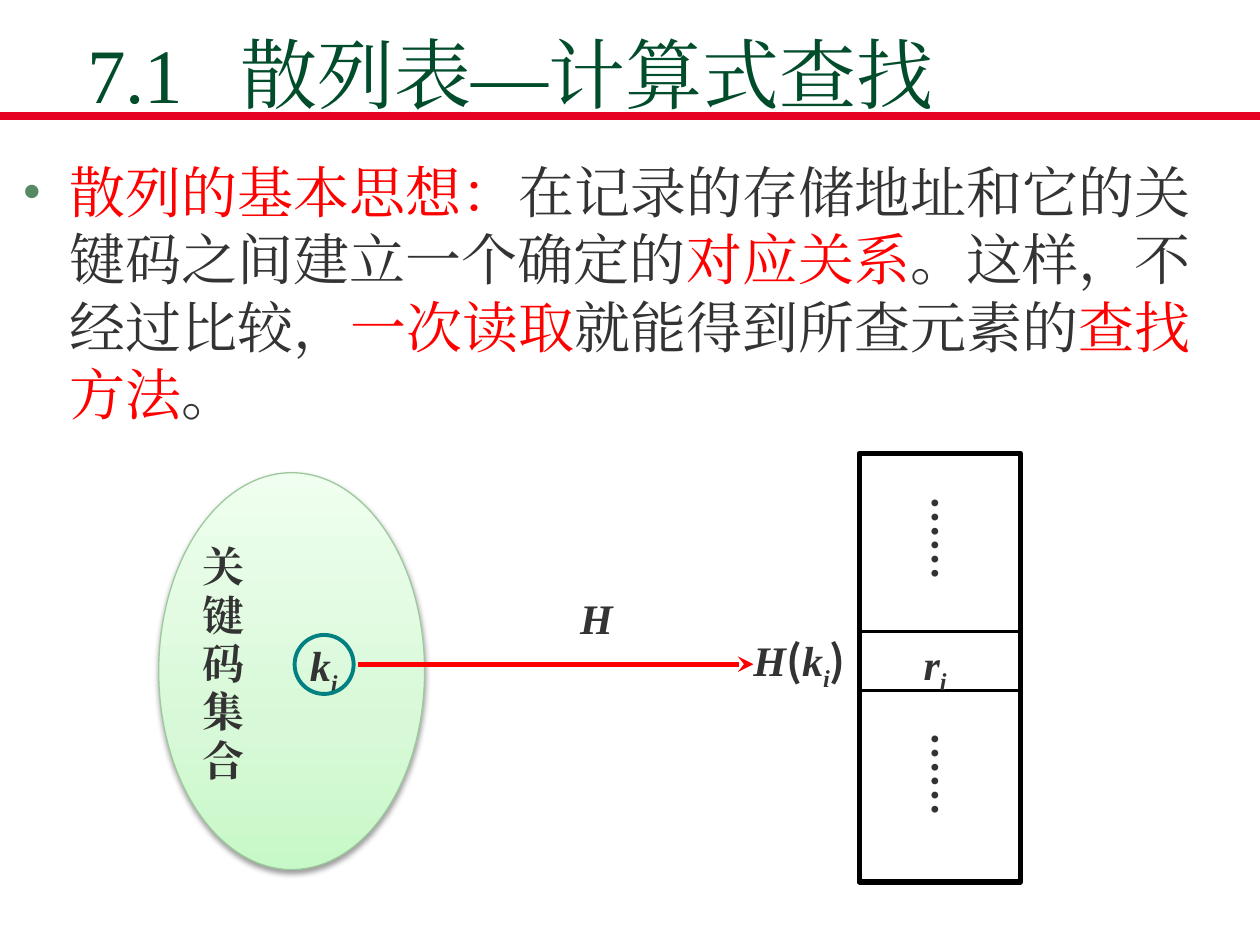
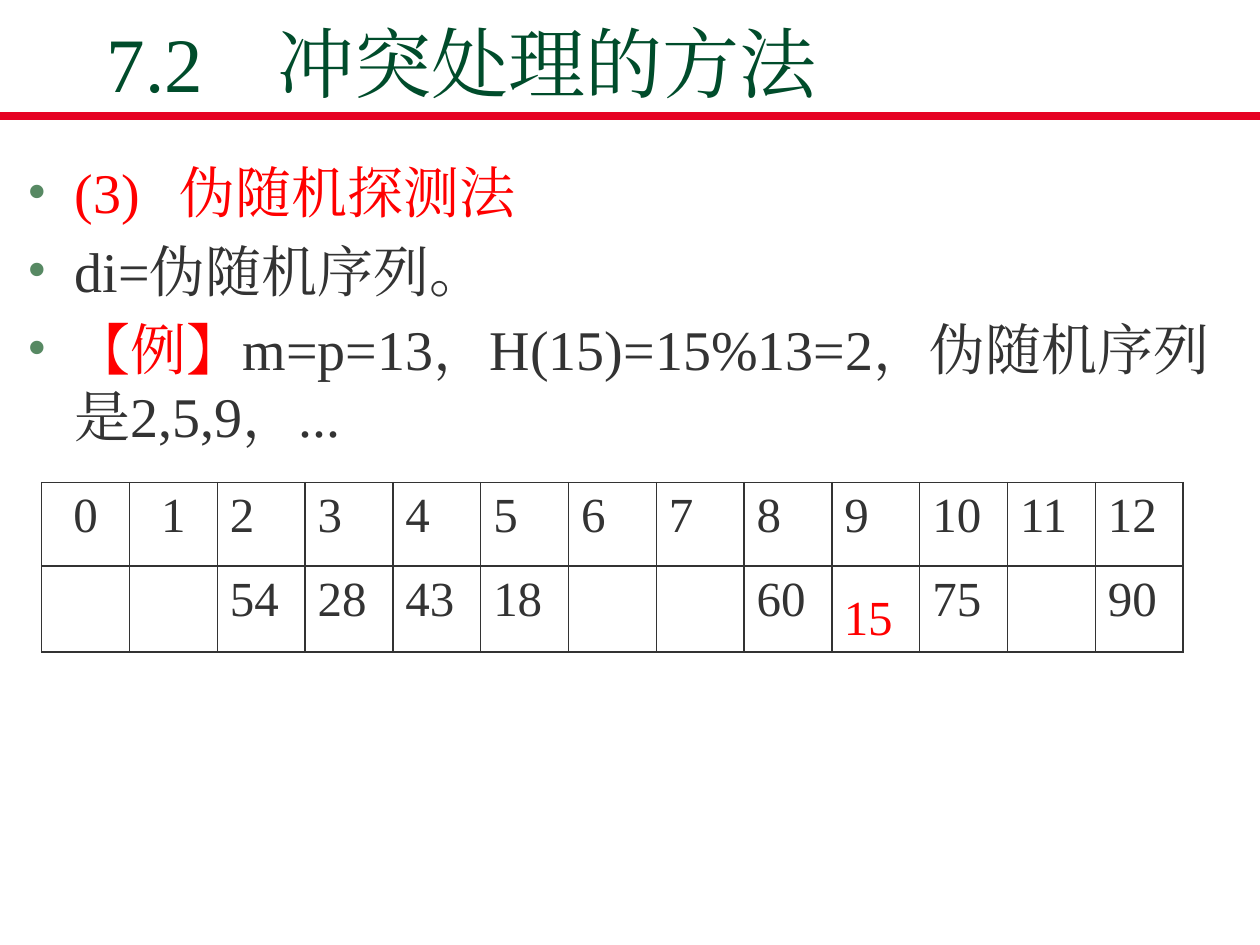
import pptx
import pptx.util
import pptx.dml.color
import pptx.enum.dml
import pptx.enum.lang
import pptx.enum.shapes
import pptx.enum.text
import pptx.oxml
import pptx.oxml.ns

Cm = pptx.util.Cm
Pt = pptx.util.Pt
ALIGN = pptx.enum.text.PP_ALIGN
ANCHOR = pptx.enum.text.MSO_ANCHOR
SHAPES = pptx.enum.shapes.MSO_SHAPE

TEXT, RED, GREEN, BULLET = "333333", "FF0000", "004C2B", "578963"
BAND, BLACK, TEAL, OUTLINE = "E60223", "000000", "008080", "9DC99D"
ITALIC = {"italic": True}
SUBSCRIPT = {"italic": True, "subscript": True}
UPRIGHT = {"name": "Noto Sans CJK SC"}


def color(hex_string):
    return pptx.dml.color.RGBColor.from_string(hex_string)


def element(xml):
    """Parse a DrawingML fragment whose root is in the a: namespace."""
    head, mark, tail = xml.partition(" " if " " in xml.split(">")[0] else ">")
    if head.endswith("/"):
        head, mark = head[:-1], "/>"
    return pptx.oxml.parse_xml(f"{head} {pptx.oxml.ns.nsdecls('a')}{mark}{tail}")


def apply(target, values):
    for name, value in values.items():
        setattr(target, name, value)


class Deck:
    font_name = "Times New Roman"

    def __init__(self):
        self.presentation = pptx.Presentation()
        apply(self.presentation, {"slide_width": Cm(25.4), "slide_height": Cm(19.05)})
        self.slide = None

    def add_slide(self):
        layout = self.presentation.slide_layouts[1]
        self.slide = self.presentation.slides.add_slide(layout)
        self.line(0, 2.34, 25.4, BAND, 4.5)

    def place(self, shape, box):
        apply(shape, dict(zip(("left", "top", "width", "height"), map(Cm, box))))

    def frame(self, shape, **values):
        frame = shape.text_frame
        apply(frame, {"word_wrap": True, "auto_size": pptx.enum.text.MSO_AUTO_SIZE.NONE,
                      "vertical_anchor": ANCHOR.TOP, **values})
        return frame

    def runs(self, paragraph, parts, **common):
        """Add (text, format) parts; the formats override the common one."""
        for text, values in parts:
            values = {"name": self.font_name, "color": TEXT, **common, **values}
            hex_string = values.pop("color")
            subscript = values.pop("subscript", False)
            run = paragraph.add_run()
            run.text = text
            language = pptx.enum.lang.MSO_LANGUAGE_ID.SIMPLIFIED_CHINESE
            apply(run.font, {"language_id": language, **values})
            run.font.color.rgb = color(hex_string)
            properties = run._r.get_or_add_rPr()
            properties.append(element(f'<a:ea typeface="{values["name"]}"/>'))
            if subscript:
                properties.set("baseline", "-25000")

    def tab_stop(self, paragraph, position):
        paragraph._p.get_or_add_pPr().append(element(
            f'<a:tabLst><a:tab pos="{Cm(position)}" algn="l"/></a:tabLst>'))

    def title(self, text, box, tab, anchor, line_spacing):
        shape = self.slide.shapes.title
        self.place(shape, box)
        paragraph = self.frame(shape, vertical_anchor=anchor).paragraphs[0]
        self.tab_stop(paragraph, tab)
        apply(paragraph, {"alignment": ALIGN.LEFT, "line_spacing": line_spacing})
        self.runs(paragraph, [(text, {})], size=Pt(44), color=GREEN)

    def bullets(self, items, box, tab=None):
        shape = self.slide.placeholders[1]
        self.place(shape, box)
        frame = self.frame(shape)
        for index, parts in enumerate(items):
            paragraph = frame.paragraphs[0] if index == 0 else frame.add_paragraph()
            properties = paragraph._p.get_or_add_pPr()
            properties.set("marL", str(Cm(0.95)))
            properties.set("indent", str(Cm(-0.95)))
            properties.append(element(f'<a:buClr><a:srgbClr val="{BULLET}"/></a:buClr>'))
            properties.append(element('<a:buFont typeface="Times New Roman"/>'))
            properties.append(element('<a:buChar char="•"/>'))
            if tab:
                self.tab_stop(paragraph, tab)
            paragraph.space_before = Pt(6.4 if index else 0)
            self.runs(paragraph, parts, size=Pt(32))

    def line(self, left, top, right, hex_string, weight, arrow=False):
        connector = self.slide.shapes.add_connector(
            pptx.enum.shapes.MSO_CONNECTOR.STRAIGHT, Cm(left), Cm(top), Cm(right), Cm(top))
        connector.line.color.rgb = color(hex_string)
        connector.line.width = Pt(weight)
        if arrow:
            connector.line._get_or_add_ln().append(element('<a:tailEnd type="stealth"/>'))
        connector._element.spPr.append(element("<a:effectLst/>"))

    def outline(self, kind, box, hex_string, weight):
        shape = self.slide.shapes.add_shape(kind, *map(Cm, box))
        shape.shadow.inherit = False
        shape.fill.background()
        shape.line.color.rgb = color(hex_string)
        shape.line.width = Pt(weight)
        return shape

    def shaded_ellipse(self, box, stops):
        shape = self.outline(SHAPES.OVAL, box, OUTLINE, 0.75)
        properties = shape._element.spPr
        marks = "".join(f'<a:gs pos="{percent * 1000}"><a:srgbClr val="{value}"/></a:gs>'
                        for percent, value in stops)
        no_fill = properties.find(pptx.oxml.ns.qn("a:noFill"))
        properties.replace(no_fill, element(
            f'<a:gradFill rotWithShape="1"><a:gsLst>{marks}</a:gsLst>'
            '<a:lin ang="16200000" scaled="0"/></a:gradFill>'))
        properties.find(pptx.oxml.ns.qn("a:effectLst")).append(element(
            f'<a:outerShdw blurRad="{Pt(3.1)}" dist="{Pt(1.6)}" dir="5400000" rotWithShape="0">'
            '<a:srgbClr val="000000"><a:alpha val="38000"/></a:srgbClr></a:outerShdw>'))

    def label(self, parts, box, alignment=ALIGN.JUSTIFY, vertical=False):
        """Bold diagram text with tight margins."""
        shape = self.slide.shapes.add_textbox(*map(Cm, box))
        frame = self.frame(shape, margin_left=Cm(0.05), margin_right=Cm(0.05),
                           margin_top=Cm(0.1 if vertical else 0), margin_bottom=0)
        if vertical:
            frame._txBody.bodyPr.set("vert", "eaVert")
        paragraph = frame.paragraphs[0]
        apply(paragraph, {"alignment": alignment, "line_spacing": 0.96})
        self.runs(paragraph, parts, size=Pt(24), bold=True)

    def note(self, text, box):
        """Red entry laid over a table cell."""
        shape = self.slide.shapes.add_textbox(*map(Cm, box))
        paragraph = self.frame(shape).paragraphs[0]
        paragraph.line_spacing = 1.2
        self.runs(paragraph, [(text, {})], size=Pt(28), color=RED)

    def table(self, rows, left, top, column_width, heights, centered):
        """Draw a ruled table whose first `centered` columns are centred."""
        count = len(rows[0])
        graphic = self.slide.shapes.add_table(
            len(rows), count, Cm(left), Cm(top), Cm(column_width * count), Cm(sum(heights)))
        table = graphic.table
        apply(table, {"first_row": False, "horz_banding": False})
        for column in table.columns:
            column.width = Cm(column_width)
        for row, height, values in zip(table.rows, heights, rows):
            row.height = Cm(height)
            for index, (cell, value) in enumerate(zip(row.cells, values)):
                properties = cell._tc.get_or_add_tcPr()
                for side in "LRTB":
                    properties.append(element(
                        f'<a:ln{side} w="{Pt(1)}"><a:solidFill><a:srgbClr val="{TEXT}"/>'
                        f'</a:solidFill></a:ln{side}>'))
                cell.fill.background()
                if value != "":
                    paragraph = cell.text_frame.paragraphs[0]
                    paragraph.alignment = ALIGN.CENTER if index < centered else ALIGN.LEFT
                    self.runs(paragraph, [(str(value), {})], size=Pt(28), bold=False)


def hashing_idea(deck):
    deck.add_slide()
    deck.title("7.1\t散列表—计算式查找", (1.5, 0.33, 21.18, 1.9), 3.1, ANCHOR.MIDDLE, 1.2)
    red = {"color": RED}
    deck.bullets([[
        ("散列的基本思想：", red),
        ("在记录的存储地址和它的关键码之间建立一个确定的", {}),
        ("对应关系", red),
        ("。这样，不经过比较，", {}),
        ("一次读取", red),
        ("就能得到所查元素的", {}),
        ("查找方法", red),
        ("。", {}),
    ]], (0.2, 3.05, 24.87, 5.87))

    deck.shaded_ellipse((3.2, 9.53, 5.36, 8), [(0, "C7F8C7"), (35, "D7F9D7"), (100, "EFFEEF")])
    deck.label([("关键码集合", {})], (4.04, 10.97, 0.86, 4.88))
    deck.label([("k", ITALIC), ("i", SUBSCRIPT)], (6.2, 12.9, 1.02, 0.91))

    table_left, table_width = 17.32, 3.25
    deck.outline(SHAPES.RECTANGLE, (table_left, 9.14, table_width, 8.64), BLACK, 3)
    for top in (12.73, 13.92):
        deck.line(table_left, top, table_left + table_width, BLACK, 2.25)
    deck.label([("r", ITALIC), ("i", SUBSCRIPT)], (18.57, 12.87, 1.02, 0.91))
    deck.label([("H", ITALIC), ("(", UPRIGHT), ("k", ITALIC), ("i", SUBSCRIPT), (")", UPRIGHT)],
               (15.14, 12.8, 2.06, 0.71))
    for top in (9.91, 14.66):
        deck.label([("……", {})], (18.68, top, 0.94, 2.29), vertical=True)

    deck.label([("H", ITALIC)], (9.32, 12.01, 5.41, 0.94), ALIGN.CENTER)
    deck.line(7.21, 13.39, 15.19, RED, 3, arrow=True)
    deck.outline(SHAPES.OVAL, (5.94, 12.8, 1.19, 1.19), TEAL, 2.25)


def random_probing(deck):
    deck.add_slide()
    deck.title("7.2\t冲突处理的方法", (1.9, 0.66, 21.59, 1.65), 3.45, ANCHOR.BOTTOM, 1.0)
    deck.bullets([
        [("(3)\t伪随机探测法", {"color": RED})],
        [("di=伪随机序列。", {})],
        [("【例】", {"color": RED}),
         ("m=p=13，H(15)=15%13=2，伪随机序列是2,5,9，...", {})],
    ], (0.3, 3.05, 24.74, 6.27), tab=3.07)
    stored = {2: 54, 3: 28, 4: 43, 5: 18, 8: 60, 10: 75, 12: 90}
    addresses = range(13)
    deck.table([addresses, [stored.get(address, "") for address in addresses]],
               0.84, 9.73, 1.77, (1.68, 1.73), centered=2)
    deck.note("15", (16.76, 11.46, 1.57, 1.68))


def main():
    deck = Deck()
    hashing_idea(deck)
    random_probing(deck)
    deck.presentation.save("out.pptx")


if __name__ == "__main__":
    main()
